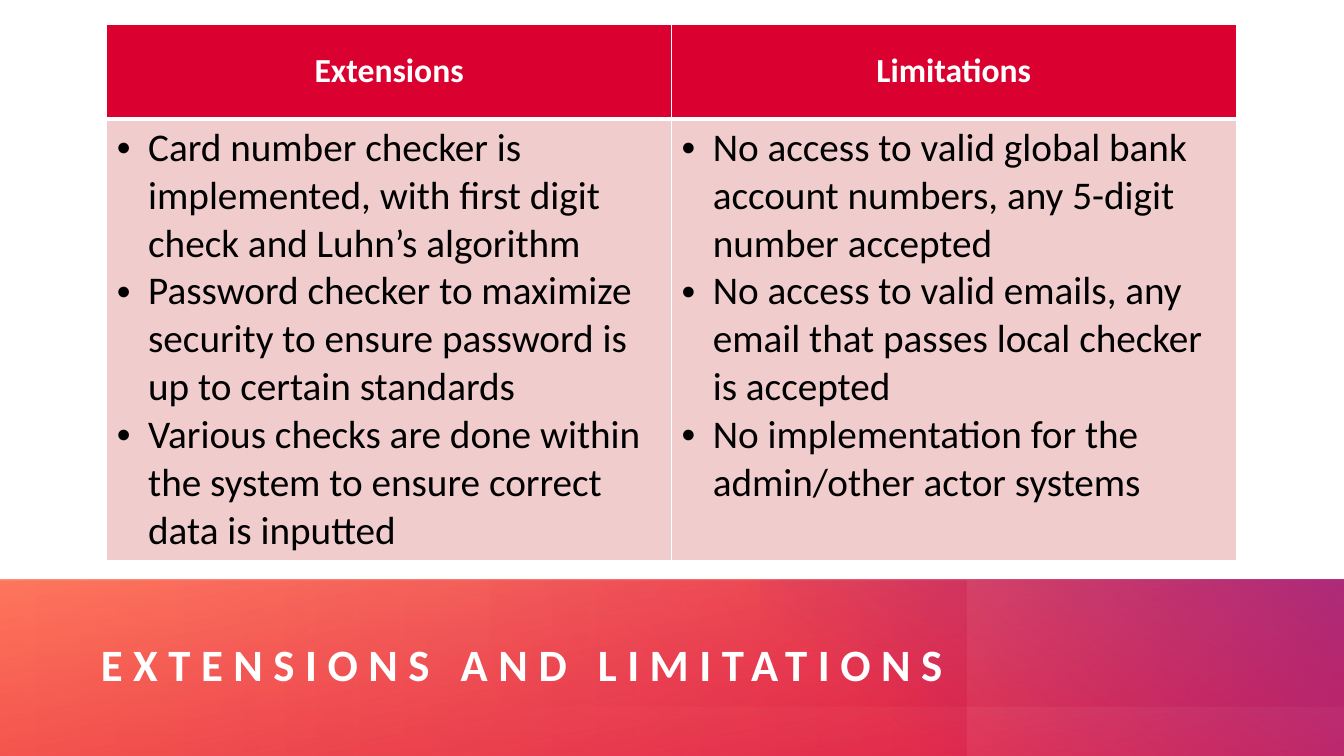
from lxml import etree
from pptx import Presentation
from pptx.dml.color import RGBColor
from pptx.enum.shapes import MSO_SHAPE
from pptx.enum.text import MSO_ANCHOR, PP_ALIGN
from pptx.oxml.ns import qn
from pptx.util import Inches, Pt

RECT = MSO_SHAPE.RECTANGLE
MIDDLE = MSO_ANCHOR.MIDDLE
CENTER = PP_ALIGN.CENTER
FONT = "Calibri"
WHITE, BLACK, RED, PINK = "FFFFFF", "000000", "DA002F", "F1CCCD"

# Place, angle, turn, then stops as (position, colour, opacity) in percent
BANDS = [
    ((-0.01, 5.75, 13.35, 1.75), 260, 0, [(0, RED, 83), (100, "FF907A", 100)]),
    ((4.86, 5.76, 8.48, 1.25), 330, 180, [(0, RED, 30), (99, RED, 0)]),
    ((-0.01, 5.76, 9.6, 1.74), 0, 0, [(0, "FF411C", 31), (99, RED, 23)]),
    ((7.54, 5.75, 5.8, 1.75), 310, 0, [(22, "93258E", 0), (99, "93258E", 66)]),
]

COLUMNS = [
    ("Extensions", [
        "Card number checker is implemented, with first digit check and Luhn’s algorithm",
        "Password checker to maximize security to ensure password is up to certain standards",
        "Various checks are done within the system to ensure correct data is inputted",
    ]),
    ("Limitations", [
        "No access to valid global bank account numbers, any 5-digit number accepted",
        "No access to valid emails, any email that passes local checker is accepted",
        "No implementation for the admin/other actor systems",
    ]),
]


def color(code):
    return RGBColor.from_string(code)


def add_run(para, text, size, code, bold=False):
    run = para.add_run()
    run.text = text
    font = run.font
    font.name, font.size, font.bold = FONT, Pt(size), bold
    font.color.rgb = color(code)
    return run


def add_band(slide, place, angle, turn, stops):
    band = slide.shapes.add_shape(RECT, *map(Inches, place))
    band.shadow.inherit = False
    band.line.fill.background()
    band.rotation = turn
    band.fill.gradient()
    band.fill.gradient_angle = (360 - angle) % 360
    for stop, (pos, code, _) in zip(band.fill.gradient_stops, stops):
        stop.position = pos / 100
        stop.color.rgb = color(code)
    # Opacity of each stop
    marks = band.fill._xPr.iter(qn("a:gs"))
    for mark, (_, _, alpha) in zip(marks, stops):
        etree.SubElement(mark[0], qn("a:alpha"), val=str(alpha * 1000))


def add_title(slide, text):
    box = slide.shapes.add_textbox(Inches(1), Inches(6.13), Inches(11.7), Inches(0.9))
    frame = box.text_frame
    frame.word_wrap = True
    frame.vertical_anchor = MIDDLE
    frame.margin_left = frame.margin_right = 0
    frame.margin_top = frame.margin_bottom = 0
    run = add_run(frame.paragraphs[0], text, 32, WHITE, True)
    run.font._element.set("spc", "750")


def set_cell(cell, fill, base):
    cell.fill.solid()
    cell.fill.fore_color.rgb = color(fill)
    # White borders come ahead of the fill
    props = cell._tc.get_or_add_tcPr()
    for spot, (side, width) in enumerate(zip("LRTB", (1, 1, 1, base))):
        line = etree.Element(qn("a:ln" + side), w=str(Pt(width)))
        solid = etree.SubElement(line, qn("a:solidFill"))
        etree.SubElement(solid, qn("a:srgbClr"), val=WHITE)
        props.insert(spot, line)


def add_bullet(para, text):
    props = para._p.get_or_add_pPr()
    props.set("marL", str(Inches(0.31)))
    props.set("indent", str(-Inches(0.31)))
    etree.SubElement(props, qn("a:buFont"), typeface="Arial")
    etree.SubElement(props, qn("a:buChar"), char="•")
    add_run(para, text, 28, BLACK)


def add_grid(slide, columns):
    grid = slide.shapes.add_table(2, len(columns), Inches(1.06), Inches(0.24),
                                  Inches(11.2), Inches(5.32)).table
    grid.rows[0].height = Inches(0.94)
    grid.rows[1].height = Inches(4.38)
    for col, (name, points) in enumerate(columns):
        head, body = grid.cell(0, col), grid.cell(1, col)
        set_cell(head, RED, 3)
        head.vertical_anchor = MIDDLE
        para = head.text_frame.paragraphs[0]
        para.alignment = CENTER
        add_run(para, name, 24, WHITE, True)

        set_cell(body, PINK, 1)
        frame = body.text_frame
        for row, point in enumerate(points):
            para = frame.add_paragraph() if row else frame.paragraphs[0]
            add_bullet(para, point)


def main():
    deck = Presentation()
    deck.slide_width, deck.slide_height = Inches(13.33), Inches(7.5)
    slide = deck.slides.add_slide(deck.slide_layouts[6])
    # Gradient footer
    for band in BANDS:
        add_band(slide, *band)
    # Title and table
    add_title(slide, "EXTENSIONS AND LIMITATIONS")
    add_grid(slide, COLUMNS)
    deck.save("out.pptx")


if __name__ == "__main__":
    main()
